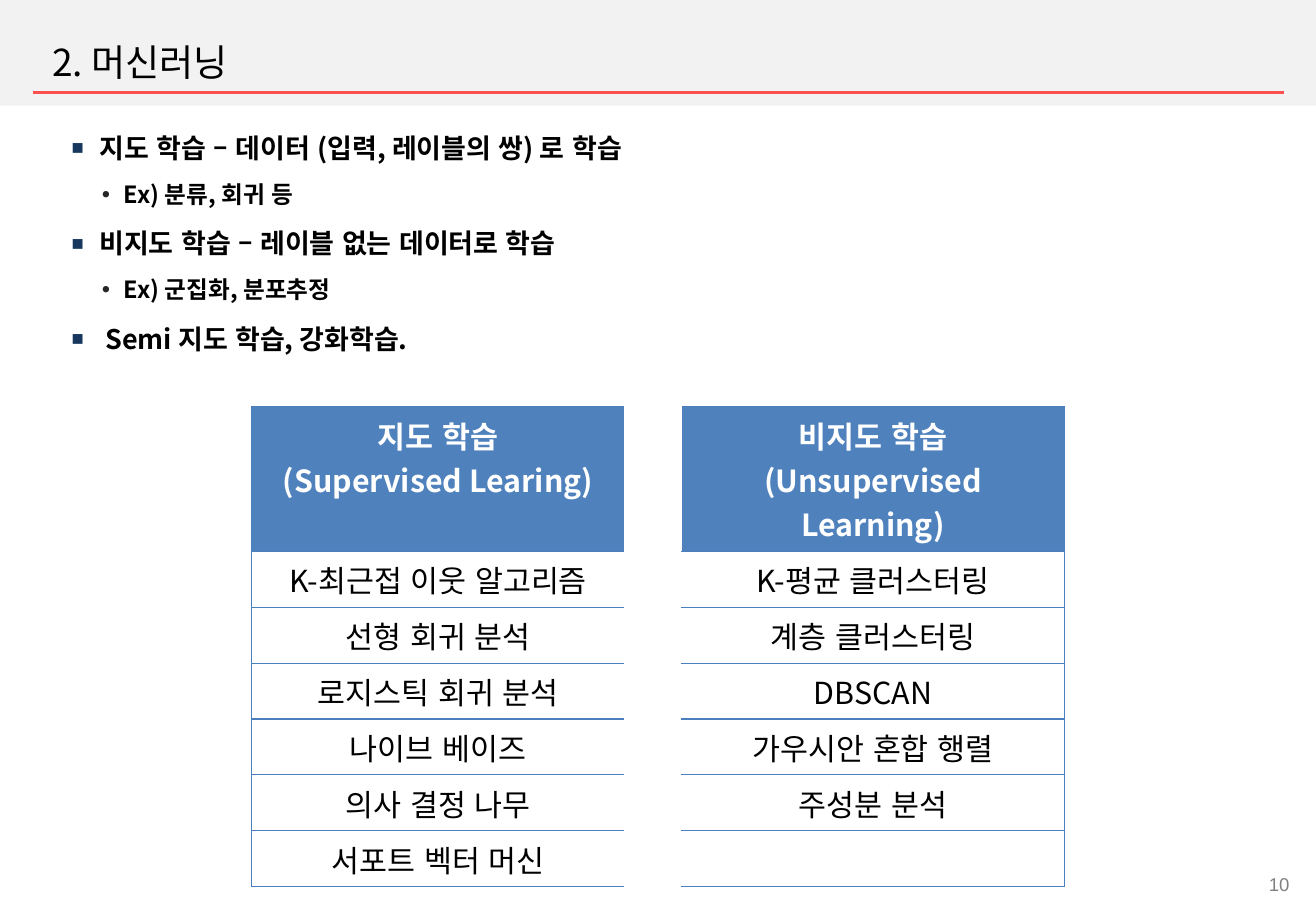
from lxml import etree
from pptx import Presentation
from pptx.dml.color import RGBColor
from pptx.enum.lang import MSO_LANGUAGE_ID
from pptx.enum.shapes import MSO_CONNECTOR, MSO_SHAPE
from pptx.enum.text import MSO_ANCHOR, PP_ALIGN
from pptx.oxml.ns import qn
from pptx.util import Inches, Pt

# Content
TITLE = "2. 머신러닝"
PAGE_NUMBER = "10"
BULLETS = [
    (0, "지도 학습 – 데이터 (입력, 레이블의 쌍) 로 학습"),
    (1, "Ex) 분류, 회귀 등"),
    (0, "비지도 학습 – 레이블 없는 데이터로 학습"),
    (1, "Ex) 군집화, 분포추정"),
    (0, " Semi 지도 학습, 강화학습."),
]
HEADERS = [["지도 학습\n(Supervised Learing)"], ["비지도 학습", "(Unsupervised Learning)"]]
METHODS = [
    ("K-최근접 이웃 알고리즘", "K-평균 클러스터링"),
    ("선형 회귀 분석", "계층 클러스터링"),
    ("로지스틱 회귀 분석", "DBSCAN"),
    ("나이브 베이즈", "가우시안 혼합 행렬"),
    ("의사 결정 나무", "주성분 분석"),
    ("서포트 벡터 머신", ""),
]

# Format
FONT = "Noto Sans CJK KR"
BLACK = RGBColor(0, 0, 0)
WHITE = RGBColor(255, 255, 255)
GRAY = RGBColor(0x80, 0x80, 0x80)
BAND = RGBColor(0xF2, 0xF2, 0xF2)
RED = RGBColor(0xFF, 0x50, 0x50)
BLUE = RGBColor(0x4F, 0x81, 0xBD)
BORDER = RGBColor(0x4B, 0x7E, 0xBC)
LEFT, CENTER, RIGHT = PP_ALIGN.LEFT, PP_ALIGN.CENTER, PP_ALIGN.RIGHT
TOP, MIDDLE = MSO_ANCHOR.TOP, MSO_ANCHOR.MIDDLE
KOREAN = MSO_LANGUAGE_ID.KOREAN
# Per level: text size, left margin, hanging indent, character, colour, size in percent
LEVELS = [
    (16, 0.23, -0.23, "■", "17375E", 75),
    (14, 0.43, -0.18, "•", "262626", 100),
]
COLUMN_WIDTHS = [3.07, 0.47, 3.15]
ROW_HEIGHTS = [1.19] + [0.46] * len(METHODS)


def write(paragraph, text, size=18, color=BLACK, bold=False, align=LEFT, font=FONT):
    paragraph.text = text
    paragraph.alignment = align
    for run in paragraph.runs:
        run.font.size = Pt(size)
        run.font.bold = bold
        run.font.name = font
        run.font.color.rgb = color
        run.font.language_id = KOREAN
        east_asian = etree.Element(qn("a:ea"), typeface=font)
        run.font._element.find(qn("a:latin")).addnext(east_asian)


def add_text_frame(slide, left, top, width, height, anchor=TOP):
    box = slide.shapes.add_textbox(Inches(left), Inches(top), Inches(width), Inches(height))
    frame = box.text_frame
    frame.word_wrap = True
    frame.vertical_anchor = anchor
    return frame


def set_bullet(paragraph, level):
    size, margin, indent, character, color, percent = LEVELS[level]
    paragraph.level = level
    paragraph.line_spacing = 1.4
    paragraph.space_before = Pt(size * 0.2)
    properties = paragraph._p.get_or_add_pPr()
    properties.set("marL", str(Inches(margin)))
    properties.set("indent", str(Inches(indent)))
    bullet_color = etree.SubElement(properties, qn("a:buClr"))
    etree.SubElement(bullet_color, qn("a:srgbClr"), val=color)
    etree.SubElement(properties, qn("a:buSzPct"), val=str(percent * 1000))
    etree.SubElement(properties, qn("a:buFont"), typeface="Arial")
    etree.SubElement(properties, qn("a:buChar"), char=character)


def set_borders(cell, sides):
    properties = cell._tc.get_or_add_tcPr()
    for position, side in enumerate(sides):
        line = etree.Element(qn("a:ln" + side), w=str(Pt(0.75)))
        fill = etree.SubElement(line, qn("a:solidFill"))
        etree.SubElement(fill, qn("a:srgbClr"), val=str(BORDER))
        properties.insert(position, line)


def add_frame(slide, width):
    band = slide.shapes.add_shape(MSO_SHAPE.RECTANGLE, 0, 0, width, Inches(0.87))
    band.shadow.inherit = False
    band.fill.solid()
    band.fill.fore_color.rgb = BAND
    band.line.fill.background()
    rule = slide.shapes.add_connector(
        MSO_CONNECTOR.STRAIGHT, Inches(0.27), Inches(0.76), Inches(10.57), Inches(0.76))
    rule.line.color.rgb = RED
    rule.line.width = Pt(1.5)
    etree.SubElement(rule._element.spPr, qn("a:effectLst"))
    number = add_text_frame(slide, 8.03, 7.14, 2.68, 0.29)
    write(number.paragraphs[0], PAGE_NUMBER, size=11, color=GRAY, align=RIGHT, font="Arial")


def add_bullets(slide):
    frame = add_text_frame(slide, 0.49, 0.93, 9.75, 5.66)
    for index, (level, text) in enumerate(BULLETS):
        paragraph = frame.add_paragraph() if index else frame.paragraphs[0]
        write(paragraph, text, size=LEVELS[level][0], bold=True)
        set_bullet(paragraph, level)


def add_methods_table(slide):
    rows = [HEADERS] + [[[name] for name in pair] for pair in METHODS]
    table = slide.shapes.add_table(
        len(rows), len(COLUMN_WIDTHS), Inches(2.07), Inches(3.35),
        Inches(sum(COLUMN_WIDTHS)), Inches(sum(ROW_HEIGHTS))).table
    table.first_row = False
    table.horz_banding = False
    for column, width in zip(table.columns, COLUMN_WIDTHS):
        column.width = Inches(width)
    for row_index, (left, right) in enumerate(rows):
        table.rows[row_index].height = Inches(ROW_HEIGHTS[row_index])
        is_header = row_index == 0
        columns = ((left, "LTB"), ([], ""), (right, "RTB"))
        for column_index, (lines, sides) in enumerate(columns):
            cell = table.cell(row_index, column_index)
            if is_header and lines:
                cell.fill.solid()
                cell.fill.fore_color.rgb = BLUE
            else:
                cell.fill.background()
            set_borders(cell, sides)
            frame = cell.text_frame
            for index, text in enumerate(lines):
                paragraph = frame.add_paragraph() if index else frame.paragraphs[0]
                write(paragraph, text, color=WHITE if is_header else BLACK,
                      bold=is_header, align=CENTER)


def main():
    presentation = Presentation()
    presentation.slide_width = Inches(10.83)
    presentation.slide_height = Inches(7.5)
    slide = presentation.slides.add_slide(presentation.slide_layouts[6])
    add_frame(slide, presentation.slide_width)
    add_bullets(slide)
    title = add_text_frame(slide, 0.33, 0.27, 8.14, 0.47, anchor=MIDDLE)
    write(title.paragraphs[0], TITLE, size=22)
    add_methods_table(slide)
    presentation.save("out.pptx")


if __name__ == "__main__":
    main()
